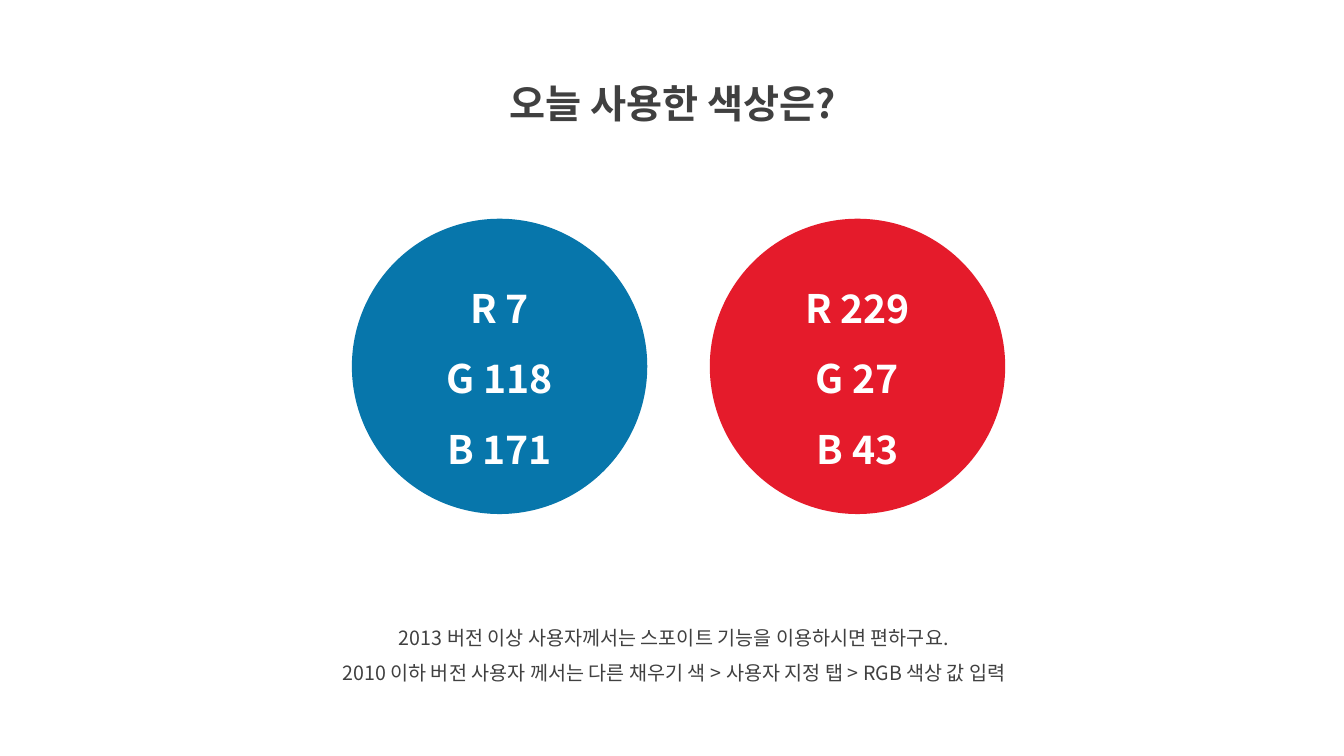
from dataclasses import dataclass

from lxml.etree import SubElement
from pptx import Presentation
from pptx.dml.color import RGBColor
from pptx.enum.shapes import MSO_SHAPE as Preset
from pptx.enum.text import MSO_ANCHOR as Anchor, PP_ALIGN as Align
from pptx.oxml.ns import qn
from pptx.slide import Slide
from pptx.text.text import TextFrame
from pptx.util import Inches, Pt

SLIDE_W, SLIDE_H = Inches(13.33), Inches(7.5)
FONT = "Noto Sans CJK KR"

WHITE = RGBColor(255, 255, 255)
CHARCOAL = RGBColor(64, 64, 64)
BLUE = RGBColor(7, 118, 171)
RED = RGBColor(229, 27, 43)

DIAMETER = Inches(2.93)
SWATCH_LEFT, SWATCH_TOP = Inches(3.49), Inches(2.17)
SWATCH_PITCH = Inches(3.55)


@dataclass(frozen=True)
class TextStyle:
    size: int
    color: RGBColor
    bold: bool = False


@dataclass(frozen=True)
class Caption:
    """A text block placed by shares of the slide's width and height."""
    left: float
    top: float
    width: float
    height: float
    lines: tuple[str, ...]
    style: TextStyle


CAPTIONS = (
    Caption(4.36 / 13.33, 0.5 / 7.5, 4.63 / 13.33, 0.72 / 7.5,
            ("오늘 사용한 색상은?",), TextStyle(28, CHARCOAL, bold=True)),
    Caption(2.69 / 13.33, 6.04 / 7.5, 7.99 / 13.33, 0.81 / 7.5,
            ("2013 버전 이상 사용자께서는 스포이트 기능을 이용하시면 편하구요.",
             "2010 이하 버전 사용자 께서는 다른 채우기 색 > 사용자 지정 탭 > RGB 색상 값 입력"),
            TextStyle(14, CHARCOAL)),
)
SWATCH_STYLE = TextStyle(28, WHITE, bold=True)


def write_lines(frame: TextFrame, lines: tuple[str, ...], style: TextStyle) -> None:
    frame.word_wrap = True
    frame.text = "\n".join(lines)
    for paragraph in frame.paragraphs:
        paragraph.alignment = Align.CENTER
        paragraph.line_spacing = 1.5
        font = paragraph.font
        font.name, font.size, font.bold = FONT, Pt(style.size), style.bold
        font.color.rgb = style.color
        # Hangul takes the East Asian typeface
        defaults = paragraph._p.pPr.find(qn("a:defRPr"))
        SubElement(defaults, qn("a:ea"), typeface=FONT)


def add_caption(slide: Slide, caption: Caption) -> None:
    box = slide.shapes.add_textbox(
        round(caption.left * SLIDE_W), round(caption.top * SLIDE_H),
        round(caption.width * SLIDE_W), round(caption.height * SLIDE_H))
    write_lines(box.text_frame, caption.lines, caption.style)


def add_swatch(slide: Slide, column: int, color: RGBColor) -> None:
    """Draw a circle labelled with the RGB values of its own fill."""
    circle = slide.shapes.add_shape(
        Preset.OVAL, SWATCH_LEFT + column * SWATCH_PITCH, SWATCH_TOP, DIAMETER, DIAMETER)
    circle.shadow.inherit = False
    circle.fill.solid()
    circle.fill.fore_color.rgb = color
    circle.line.fill.background()
    circle.text_frame.vertical_anchor = Anchor.MIDDLE
    labels = tuple(f"{channel} {value}" for channel, value in zip("RGB", color))
    write_lines(circle.text_frame, labels, SWATCH_STYLE)


def main() -> None:
    deck = Presentation()
    deck.slide_width, deck.slide_height = SLIDE_W, SLIDE_H
    slide = deck.slides.add_slide(deck.slide_layouts[6])
    for caption in CAPTIONS:
        add_caption(slide, caption)
    for column, color in enumerate((BLUE, RED)):
        add_swatch(slide, column, color)
    deck.save("out.pptx")


if __name__ == "__main__":
    main()
